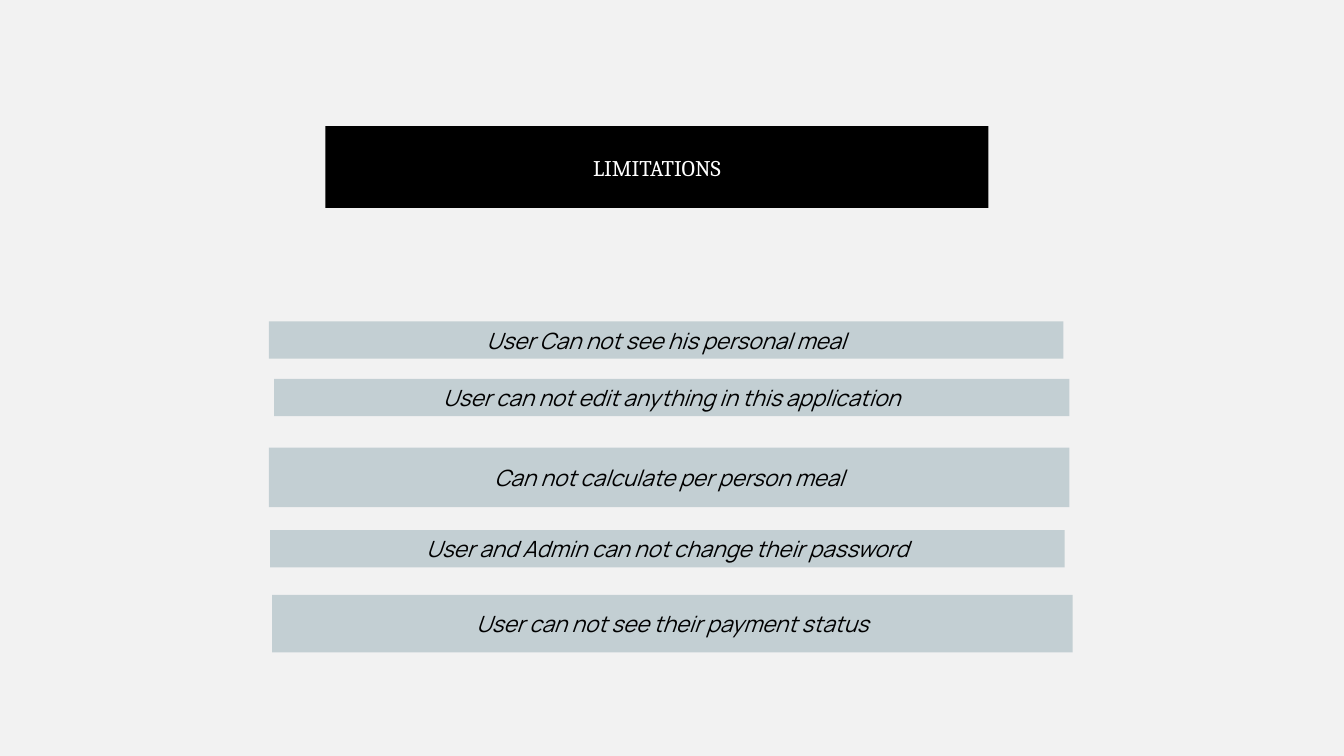
import pptx
import pptx.util
import pptx.dml.color
import pptx.enum.shapes
import pptx.enum.text

Cm = pptx.util.Cm
RGBColor = pptx.dml.color.RGBColor

PAPER = RGBColor(0xF2, 0xF2, 0xF2)
BLACK = RGBColor(0x00, 0x00, 0x00)
WHITE = RGBColor(0xFF, 0xFF, 0xFF)
MIST = RGBColor(0xC3, 0xCF, 0xD3)

LIMITS = [
    ("User Can not see his personal meal", 6.78, 8.1, 20.02, 0.94),
    ("User can not edit anything in this application", 6.91, 9.55, 20.04, 0.94),
    ("Can not calculate per person meal", 6.78, 11.28, 20.17, 1.5),
    ("User and Admin can not change their password", 6.81, 13.36, 20.02, 0.94),
    ("User can not see their payment status", 6.86, 14.99, 20.17, 1.45),
]


def add_bar(slide, text, box, fill, color, font, italic=False):
    """Add a filled bar with one centred line of text."""
    rect = pptx.enum.shapes.MSO_SHAPE.RECTANGLE
    bar = slide.shapes.add_shape(rect, *map(Cm, box))
    bar.shadow.inherit = False
    bar.fill.solid()
    bar.fill.fore_color.rgb = fill
    bar.line.fill.background()
    frame = bar.text_frame
    frame.word_wrap = True
    frame.vertical_anchor = pptx.enum.text.MSO_ANCHOR.MIDDLE
    frame.text = text
    line = frame.paragraphs[0]
    line.alignment = pptx.enum.text.PP_ALIGN.CENTER
    style = line.runs[0].font
    style.name = font
    style.size = pptx.util.Pt(16)
    style.italic = italic
    style.color.rgb = color


def main():
    """Build the slide and save it."""
    deck = pptx.Presentation()
    deck.slide_width = Cm(33.87)
    deck.slide_height = Cm(19.05)
    slide = deck.slides.add_slide(deck.slide_layouts[6])
    slide.background.fill.solid()
    slide.background.fill.fore_color.rgb = PAPER
    add_bar(slide, "LIMITATIONS", (8.2, 3.18, 16.71, 2.06), BLACK, WHITE, "Cambria")
    for text, *box in LIMITS:
        add_bar(slide, text, box, MIST, BLACK, "Manrope", italic=True)
    deck.save("out.pptx")


if __name__ == "__main__":
    main()
